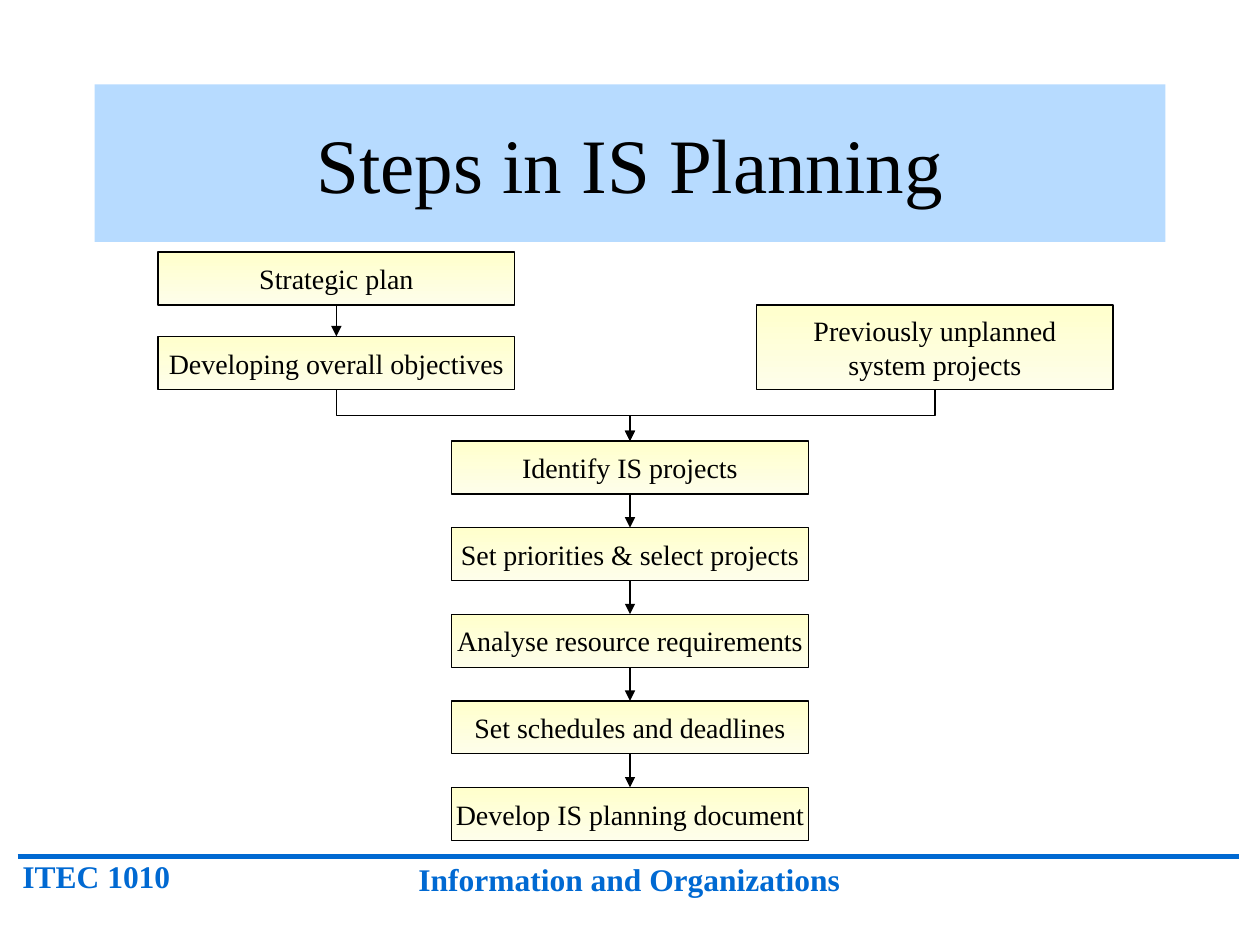
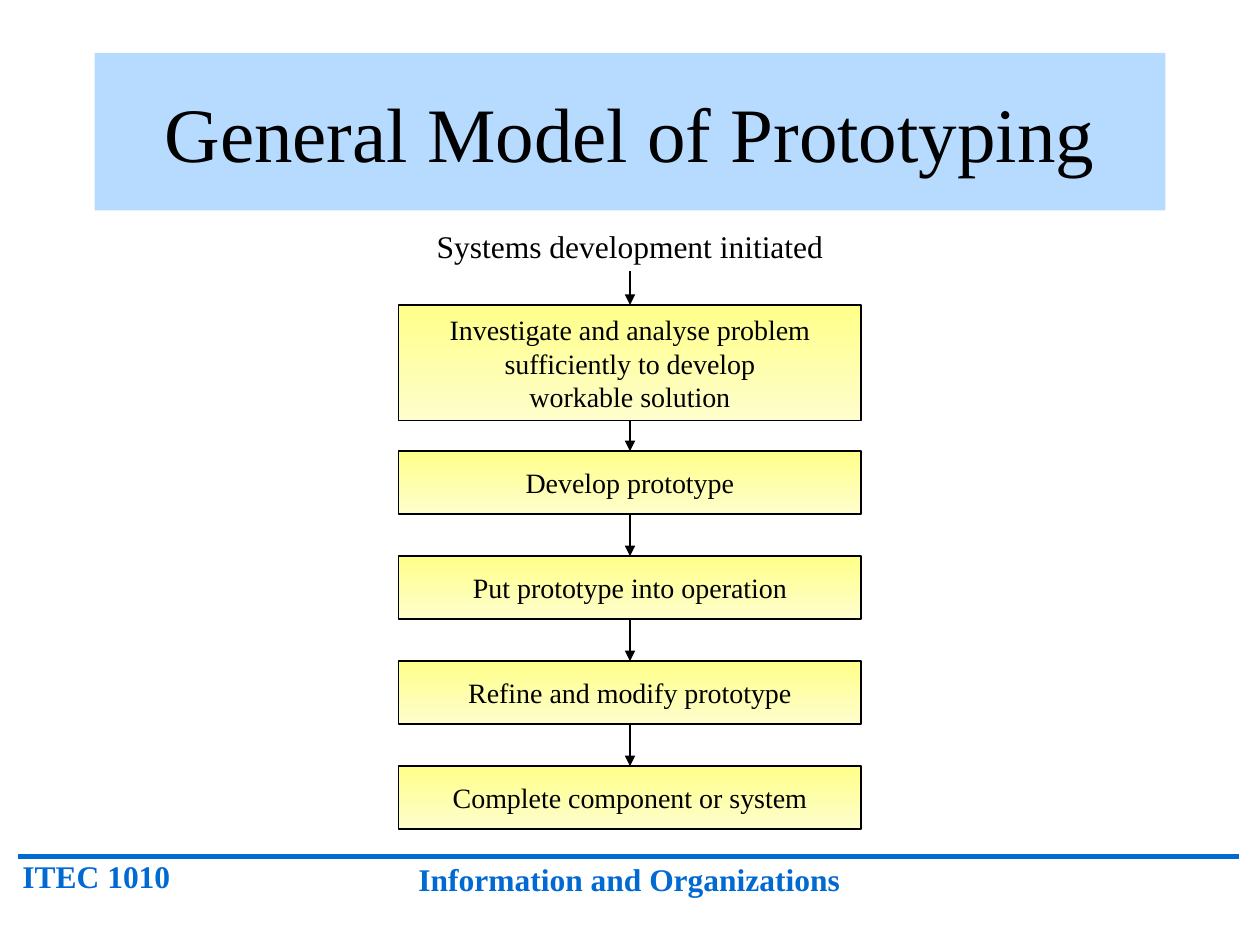
from pptx import Presentation
from pptx.dml.color import RGBColor
from pptx.enum.shapes import MSO_CONNECTOR as Connector, MSO_SHAPE as Shape
from pptx.enum.text import MSO_ANCHOR as Anchor, MSO_AUTO_SIZE as AutoSize, PP_ALIGN as Align
from pptx.oxml.ns import qn
from pptx.util import Inches, Pt
from lxml.etree import SubElement

FONT = "Times New Roman"
COLORS = {
    "ink": "000000",
    "footer": "0069D2",
    "band": "B7DBFF",
    "cream": "FFFFCC",
    "pale cream": "FEFEEA",
    "yellow": "FFFF89",
    "pale yellow": "FEFECC",
}
CENTER = 5

FOOTERS = [
    ("ITEC 1010", 0.08, 6.75, 1.67, Align.LEFT),
    ("Information and Organizations", 2.58, 6.78, 4.83, Align.CENTER),
]

PLANNING = {
    "title": "Steps in IS Planning",
    "title top": 0.67,
    "width": 2.83,
    "gradient": ("cream", "pale cream"),
    "objectives": ["Strategic plan", "Developing overall objectives"],
    "unplanned": "Previously unplanned\nsystem projects",
    "steps": [
        "Identify IS projects",
        "Set priorities & select projects",
        "Analyse resource requirements",
        "Set schedules and deadlines",
        "Develop IS planning document",
    ],
}

PROTOTYPING = {
    "title": "General Model of Prototyping",
    "title top": 0.42,
    "width": 3.67,
    "gradient": ("yellow", "pale yellow"),
    "start": "Systems development initiated",
    "investigate": "Investigate and analyse problem\nsufficiently to develop\nworkable solution",
    "steps": [
        "Develop prototype",
        "Put prototype into operation",
        "Refine and modify prototype",
        "Complete component or system",
    ],
}


def color(name):
    return RGBColor.from_string(COLORS[name])


def write(shape, text, size=16, ink="ink", bold=False, align=Align.CENTER,
          anchor=Anchor.MIDDLE, wrap=True, fit=AutoSize.NONE):
    frame = shape.text_frame
    frame.word_wrap = wrap
    frame.auto_size = fit
    frame.vertical_anchor = anchor
    paragraph = frame.paragraphs[0]
    paragraph.text = text
    paragraph.alignment = align
    for run in paragraph.runs:
        run.font.name = FONT
        run.font.size = Pt(size)
        run.font.bold = bold
        run.font.color.rgb = color(ink)


def add_label(slide, text, left, top, width, **text_format):
    label = slide.shapes.add_textbox(Inches(left), Inches(top), Inches(width), Inches(0.4))
    write(label, text, size=18, anchor=Anchor.TOP, fit=AutoSize.SHAPE_TO_FIT_TEXT, **text_format)
    return label


def add_line(slide, kind=Connector.STRAIGHT, points=(0, 0, 0, 0), ink="ink", weight=0.75):
    line = slide.shapes.add_connector(kind, *(Inches(value) for value in points))
    line.line.color.rgb = color(ink)
    line.line.width = Pt(weight)
    SubElement(line.element.spPr, qn("a:effectLst"))
    return line


def add_arrow(slide, source, target, kind=Connector.STRAIGHT):
    arrow = add_line(slide, kind)
    arrow.begin_connect(source, 2)
    arrow.end_connect(target, 0)
    SubElement(arrow.line._get_or_add_ln(), qn("a:tailEnd"), type="triangle")
    return arrow


def add_elbow_arrow(slide, source, target):
    arrow = add_arrow(slide, source, target, Connector.ELBOW)
    start, end = arrow.begin_x, arrow.end_x
    drop, run = arrow.end_y - arrow.begin_y, abs(end - start)
    middle = arrow.begin_y + drop // 2
    arrow.left, arrow.top = (start + end - drop) // 2, middle - run // 2
    arrow.width, arrow.height = drop, run
    frame = arrow.element.spPr.find(qn("a:xfrm"))
    frame.set("rot", str((270 if start < end else 90) * 60000))
    frame.set("flipH", "1" if start < end else "0")


def add_box(slide, content, text, top, height, center=CENTER):
    width = content["width"]
    box = slide.shapes.add_shape(Shape.RECTANGLE, Inches(center - width / 2), Inches(top),
                                 Inches(width), Inches(height))
    box.shadow.inherit = False
    box.fill.gradient()
    box.fill.gradient_angle = 270
    for position, (stop, name) in enumerate(zip(box.fill.gradient_stops, content["gradient"])):
        stop.color.rgb = color(name)
        stop.position = position
    box.line.color.rgb = color("ink")
    box.line.width = Pt(0.75)
    write(box, text, wrap=False)
    return box


def add_column(slide, content, texts, first_top, last_top, height, center=CENTER):
    pitch = (last_top - first_top) / (len(texts) - 1)
    boxes = [add_box(slide, content, text, first_top + index * pitch, height, center)
             for index, text in enumerate(texts)]
    for source, target in zip(boxes, boxes[1:]):
        add_arrow(slide, source, target)
    return boxes


def add_titled_slide(presentation, layout, content):
    slide = presentation.slides.add_slide(layout)
    title = slide.shapes.title
    title.left, title.top = Inches(0.75), Inches(content["title top"])
    title.width, title.height = Inches(8.5), Inches(1.25)
    title.fill.solid()
    title.fill.fore_color.rgb = color("band")
    write(title, content["title"], size=44)
    return slide


def put_footer_on_layout(slide, layout):
    for placeholder in list(layout.placeholders)[1:]:
        layout.shapes.element.remove(placeholder.element)
    parts = [add_line(slide, points=(0.14, 6.8, 9.83, 6.8), ink="footer", weight=3)]
    for text, left, top, width, align in FOOTERS:
        parts.append(add_label(slide, text, left, top, width, ink="footer", bold=True, align=align))
    for part in parts:
        layout.shapes.element.append(part.element)


def draw_planning(slide):
    objectives = add_column(slide, PLANNING, PLANNING["objectives"], 2, 2.67, 0.42, center=2.67)
    steps = add_column(slide, PLANNING, PLANNING["steps"], 3.5, 6.25, 0.42)
    unplanned = add_box(slide, PLANNING, PLANNING["unplanned"], 2.42, 0.67, center=7.42)
    for source in (objectives[-1], unplanned):
        add_elbow_arrow(slide, source, steps[0])


def draw_prototyping(slide):
    start = add_label(slide, PROTOTYPING["start"], 3.13, 1.75, 3.75)
    start.left = Inches(CENTER) - start.width // 2
    investigate = add_box(slide, PROTOTYPING, PROTOTYPING["investigate"], 2.42, 0.92)
    steps = add_column(slide, PROTOTYPING, PROTOTYPING["steps"], 3.58, 6.08, 0.5)
    add_arrow(slide, start, investigate)
    add_arrow(slide, investigate, steps[0])


def main():
    presentation = Presentation()
    presentation.slide_width, presentation.slide_height = Inches(10), Inches(7.5)
    layout = presentation.slide_layouts[5]
    planning = add_titled_slide(presentation, layout, PLANNING)
    put_footer_on_layout(planning, layout)
    draw_planning(planning)
    draw_prototyping(add_titled_slide(presentation, layout, PROTOTYPING))
    presentation.save("out.pptx")


if __name__ == "__main__":
    main()
